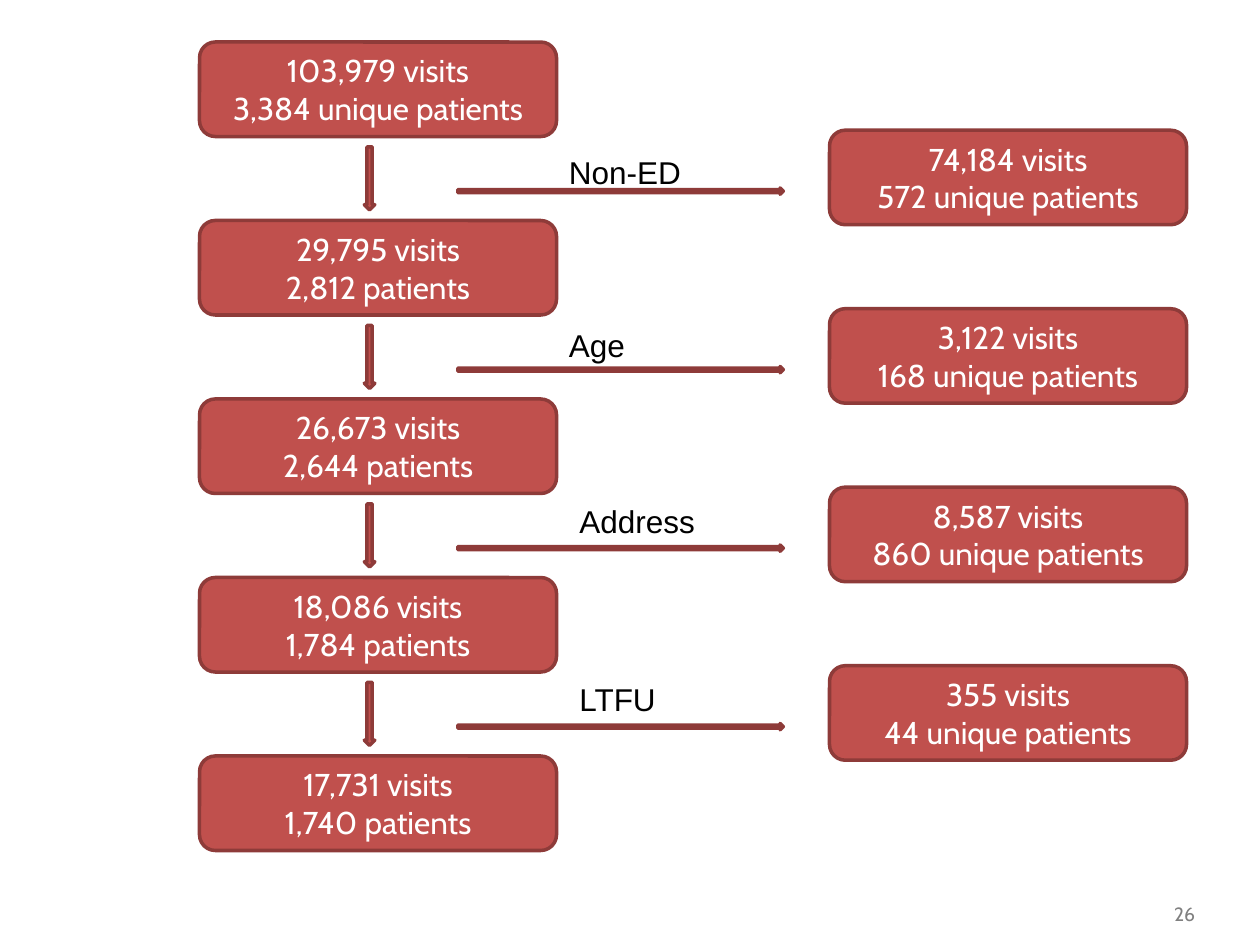
from pptx import Presentation
from pptx.dml.color import RGBColor
from pptx.enum.shapes import MSO_SHAPE
from pptx.enum.text import MSO_ANCHOR, PP_ALIGN
from pptx.util import Pt

PX = 7620  # EMU, 120 px to the inch
ROUND, DOWN = MSO_SHAPE.ROUNDED_RECTANGLE, MSO_SHAPE.DOWN_ARROW
TOP, MIDDLE = MSO_ANCHOR.TOP, MSO_ANCHOR.MIDDLE
LEFT, CENTER, RIGHT = PP_ALIGN.LEFT, PP_ALIGN.CENTER, PP_ALIGN.RIGHT
COLORS = {"fill": "C0504D", "edge": "8E3B39", "light": "FFFFFF",
          "dark": "000000", "muted": "808080"}

PITCH = 170
BOX_W, BOX_H = 340, 90
KEPT = [
    "103,979 visits\n3,384 unique patients",
    "29,795 visits\n2,812 patients",
    "26,673 visits\n2,644 patients",
    "18,086 visits\n1,784 patients",
    "17,731 visits\n1,740 patients",
]
# Reason, its left, top and width, then the group left out
DROPPED = [
    ("Non-ED", 530, 140, 140, "74,184 visits\n572 unique patients"),
    ("Age", 530, 305, 150, "3,122 visits\n168 unique patients"),
    ("Address", 540, 472, 160, "8,587 visits\n860 unique patients"),
    ("LTFU", 540, 642, 160, "355 visits\n44 unique patients"),
]


def color(name):
    return RGBColor.from_string(COLORS[name])


def scale(*box):
    return [n * PX for n in box]


def write(shape, text, size, font, tint, align, anchor):
    frame = shape.text_frame
    frame.word_wrap = True
    frame.vertical_anchor = anchor
    frame.text = text
    for para in frame.paragraphs:
        para.alignment = align
        for run in para.runs:
            run.font.size = Pt(size)
            run.font.name = font
            run.font.color.rgb = color(tint)


def add_shape(slide, kind, *box):
    shape = slide.shapes.add_shape(kind, *scale(*box))
    shape.shadow.inherit = False
    shape.fill.solid()
    shape.fill.fore_color.rgb = color("fill")
    shape.line.color.rgb = color("edge")
    shape.line.width = Pt(2)
    return shape


def add_text(slide, text, box, *style):
    write(slide.shapes.add_textbox(*scale(*box)), text, *style)


def add_group(slide, text, left, top):
    """Place one box of visit and patient counts."""
    box = add_shape(slide, ROUND, left, top, BOX_W, BOX_H)
    write(box, text, 18, "Cabin", "light", CENTER, MIDDLE)


def add_kept(slide, left, top):
    """Place the column of remaining groups, joined by down arrows."""
    for row, text in enumerate(KEPT):
        y = top + row * PITCH
        add_group(slide, text, left, y)
        if row < len(KEPT) - 1:
            add_shape(slide, DOWN, left + 157, y + 100, 10, 60)


def add_dropped(slide, left, top):
    """Place the excluded groups, each with its reason and side arrow."""
    for row, (reason, x, y, width, text) in enumerate(DROPPED):
        box_top = top + row * PITCH
        add_group(slide, text, left, box_top)
        arrow = add_shape(slide, DOWN, left - 202, box_top - 97, 6, 310)
        arrow.rotation = 270
        add_text(slide, reason, (x, y, width, 48),
                 18, "Arial", "dark", LEFT, TOP)


def main():
    deck = Presentation()
    deck.slide_width, deck.slide_height = scale(1200, 900)
    slide = deck.slides.add_slide(deck.slide_layouts[6])
    add_kept(slide, 190, 40)
    add_dropped(slide, 790, 124)
    add_text(slide, "26", (1090, 840, 60, 60),
             11, "Cabin", "muted", RIGHT, MIDDLE)
    deck.save("out.pptx")


if __name__ == "__main__":
    main()
